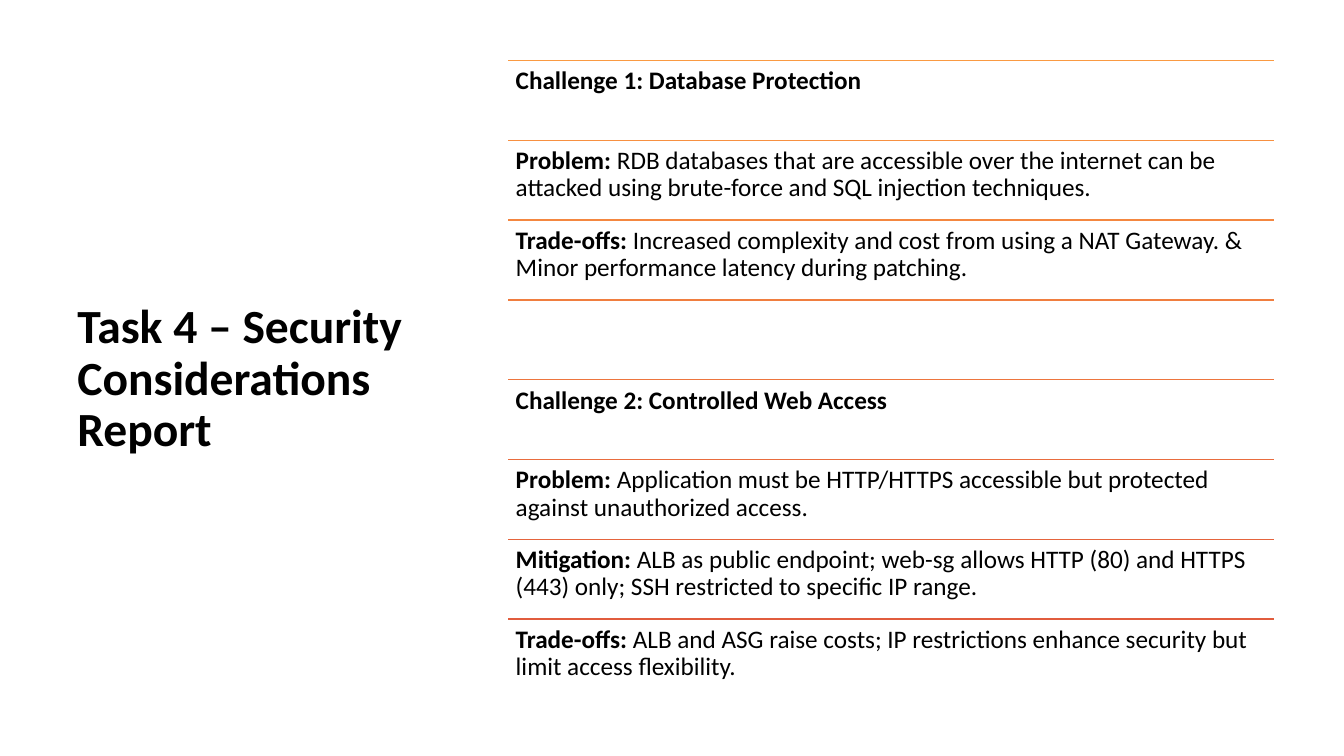
from dataclasses import dataclass

import pptx
import pptx.dml.color
import pptx.enum.shapes
import pptx.enum.text
import pptx.oxml.ns
import pptx.util
from lxml import etree

Pt = pptx.util.Pt
ANCHOR = pptx.enum.text.MSO_ANCHOR

FONT = "Calibri"
BLACK = "000000"
TOP, ROW_HEIGHT = 43.2, 57
ROW_LEFT, ROW_WIDTH = 363, 547.2
TITLE_LEFT, TITLE_WIDTH = 48.2, 275


@dataclass
class Row:
    line: str
    label: str = ""
    detail: str = ""


ROWS = [
    Row("FA9A42", "Challenge 1: Database Protection"),
    Row("F79041", "Problem: ",
        "RDB databases that are accessible over the internet can be attacked "
        "using brute-force and SQL injection techniques."),
    Row("F48740", "Trade-offs:",
        " Increased complexity and cost from using a NAT Gateway. & "
        "Minor performance latency during patching."),
    Row("F07E3F"),
    Row("ED753E", "Challenge 2: Controlled Web Access"),
    Row("E96C3E", "Problem: ",
        "Application must be HTTP/HTTPS accessible but protected against "
        "unauthorized access."),
    Row("E5643D", "Mitigation: ",
        "ALB as public endpoint; web-sg allows HTTP (80) and HTTPS (443) only; "
        "SSH restricted to specific IP range."),
    Row("E15C3D", "Trade-offs: ",
        "ALB and ASG raise costs; IP restrictions enhance security but limit "
        "access flexibility."),
]


def rgb(value: str) -> pptx.dml.color.RGBColor:
    return pptx.dml.color.RGBColor.from_string(value)


def add_text(s, left: float, top: float, width: float, height: float,
             runs: list[tuple[str, bool]], size: float,
             margins: tuple[float, float], anchor) -> None:
    """Add one paragraph of (text, bold) runs; margins are (side, top/bottom)."""
    tf = s.shapes.add_textbox(Pt(left), Pt(top), Pt(width), Pt(height)).text_frame
    tf.word_wrap = True
    tf.vertical_anchor = anchor
    tf.margin_left = tf.margin_right = Pt(margins[0])
    tf.margin_top = tf.margin_bottom = Pt(margins[1])
    p = tf.paragraphs[0]
    p.line_spacing = 0.9
    for text, bold in runs:
        r = p.add_run()
        r.text = text
        r.font.name = FONT
        r.font.size = Pt(size)
        r.font.bold = bold
        r.font.color.rgb = rgb(BLACK)


def add_rule(s, top: float, color: str) -> None:
    rule = s.shapes.add_connector(
        pptx.enum.shapes.MSO_CONNECTOR.STRAIGHT,
        Pt(ROW_LEFT), Pt(top), Pt(ROW_LEFT + ROW_WIDTH), Pt(top))
    rule.line.color.rgb = rgb(color)
    rule.line.width = Pt(1)
    etree.SubElement(rule._element.spPr, pptx.oxml.ns.qn("a:effectLst"))


def add_row(s, row: Row, top: float) -> None:
    add_rule(s, top, row.line)
    runs = [(text, bold) for text, bold in ((row.label, True), (row.detail, False)) if text]
    if runs:
        add_text(s, ROW_LEFT, top, ROW_WIDTH, ROW_HEIGHT, runs, 18, (5.4, 5.4), ANCHOR.TOP)


def main() -> None:
    prs = pptx.Presentation()
    prs.slide_width, prs.slide_height = Pt(960), Pt(540)
    s = prs.slides.add_slide(prs.slide_layouts[6])
    add_text(s, TITLE_LEFT, TOP, TITLE_WIDTH, ROW_HEIGHT * len(ROWS),
             [("Task 4 – Security Considerations Report", True)],
             34, (7.2, 3.6), ANCHOR.MIDDLE)
    for i, row in enumerate(ROWS):
        add_row(s, row, TOP + i * ROW_HEIGHT)
    prs.save("out.pptx")


if __name__ == "__main__":
    main()
